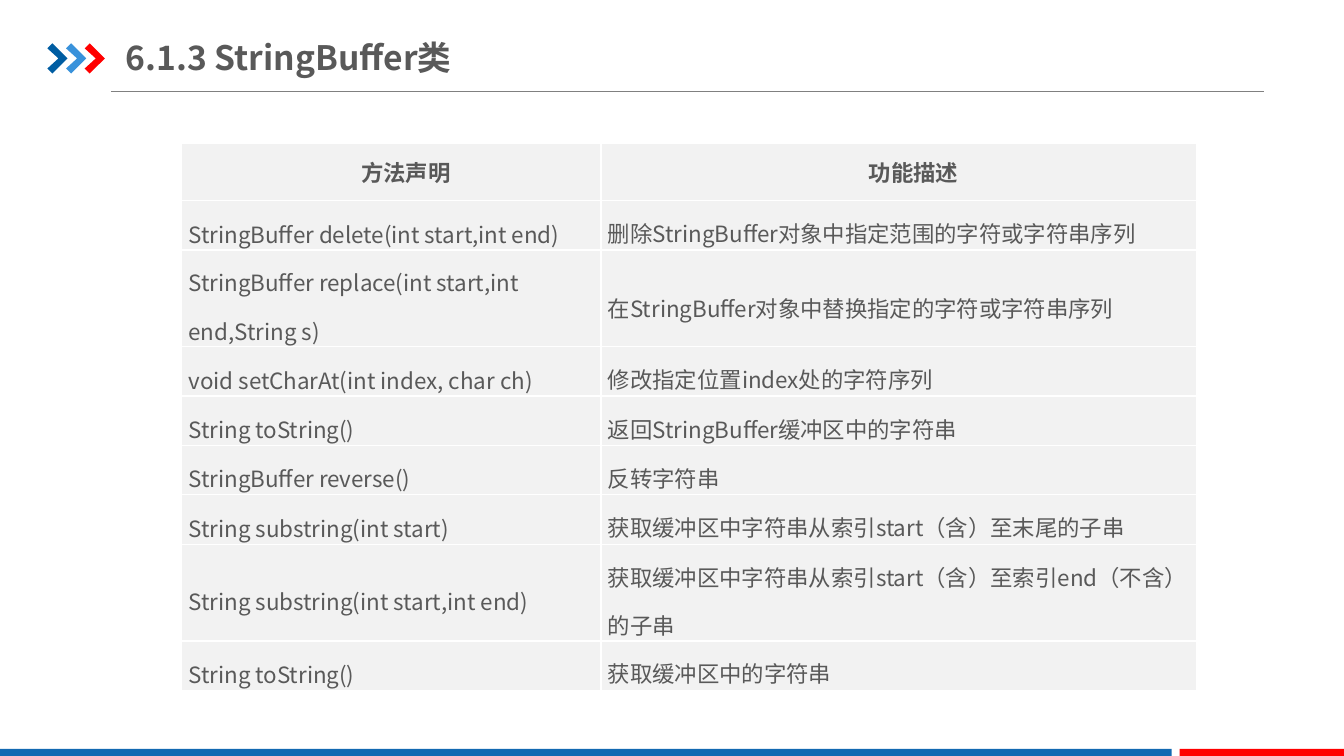
from dataclasses import dataclass

import pptx
import pptx.dml.color
import pptx.enum.shapes
import pptx.enum.text
import pptx.oxml
import pptx.oxml.ns
import pptx.util
from lxml import etree

Inches = pptx.util.Inches
Pt = pptx.util.Pt
qn = pptx.oxml.ns.qn
ANCHOR = pptx.enum.text.MSO_ANCHOR
RECTANGLE = pptx.enum.shapes.MSO_SHAPE.RECTANGLE


@dataclass(frozen=True)
class Theme:
    font: str = "Noto Sans CJK SC"
    text: str = "595959"
    rule: str = "808080"
    cell: str = "F2F2F2"
    border: str = "FFFFFF"
    chevrons: tuple = ("005DA2", "3992DB", "FF0000")
    footer_blue: str = "1369B2"
    footer_red: str = "FF0000"
    title_size: int = 24
    table_size: int = 16


THEME = Theme()

HEADINGS = ("方法声明", "功能描述")
METHODS = [
    ("StringBuffer delete(int start,int end)", "删除StringBuffer对象中指定范围的字符或字符串序列"),
    ("StringBuffer replace(int start,int end,String s)", "在StringBuffer对象中替换指定的字符或字符串序列"),
    ("void setCharAt(int index, char ch)", "修改指定位置index处的字符序列"),
    ("String toString()", "返回StringBuffer缓冲区中的字符串"),
    ("StringBuffer reverse()", "反转字符串"),
    ("String substring(int start)", "获取缓冲区中字符串从索引start（含）至末尾的子串"),
    ("String substring(int start,int end)", "获取缓冲区中字符串从索引start（含）至索引end（不含）的子串"),
    ("String toString()", "获取缓冲区中的字符串"),
]
REPLACE_ROW = 2
SUBSTRING_RANGE_ROW = 7
TWO_LINE_ROWS = (REPLACE_ROW, SUBSTRING_RANGE_ROW)


def rgb(value):
    return pptx.dml.color.RGBColor.from_string(value)


def paint(shape, color):
    """Give a shape a plain fill without outline or shadow."""
    shape.shadow.inherit = False
    shape.fill.solid()
    shape.fill.fore_color.rgb = rgb(color)
    shape.line.fill.background()


def style_paragraph(paragraph, size, bold):
    font = paragraph.font
    font.name = THEME.font
    font.size = Pt(size)
    font.bold = bold
    font.color.rgb = rgb(THEME.text)
    properties = paragraph._p.pPr.find(qn("a:defRPr"))
    latin = properties.find(qn("a:latin"))
    east_asian = etree.Element(qn("a:ea"), typeface=THEME.font)
    latin.addnext(east_asian)


def add_chevrons(slide, left, top):
    width, height, pitch, tip = 0.2, 0.3, 0.185, 0.05
    outline = [(0, tip), (tip, 0), (width, height / 2), (tip, height),
               (0, height - tip), (width / 2 + 0.01, height / 2)]
    for index, color in enumerate(THEME.chevrons):
        points = [(Inches(left + index * pitch + x), Inches(top + y)) for x, y in outline]
        builder = slide.shapes.build_freeform(*points[0])
        builder.add_line_segments(points[1:], close=True)
        paint(builder.convert_to_shape(), color)


def add_header(slide, left, top, width, title):
    rule_y = Inches(top + 0.62)
    rule = slide.shapes.add_connector(
        pptx.enum.shapes.MSO_CONNECTOR.STRAIGHT,
        Inches(left + 0.63), rule_y, Inches(left + width), rule_y)
    rule.line.color.rgb = rgb(THEME.rule)
    rule.line.width = Pt(0.75)
    etree.SubElement(rule._element.spPr, qn("a:effectLst"))

    add_chevrons(slide, left, top + 0.14)

    heading = slide.shapes.add_textbox(
        Inches(left + 0.78), Inches(top), Inches(4.26), Inches(0.55))
    frame = heading.text_frame
    frame.word_wrap = True
    frame.vertical_anchor = ANCHOR.MIDDLE
    frame.margin_left = frame.margin_right = 0
    frame.margin_top = frame.margin_bottom = Inches(0.07)
    frame.text = title
    style_paragraph(frame.paragraphs[0], THEME.title_size, True)


def add_footer(slide, top, width, height):
    red_width, gap = 1.63, 0.08
    blue_width = width - red_width - gap
    bars = ((0, blue_width, THEME.footer_blue),
            (blue_width + gap, red_width, THEME.footer_red))
    for left, bar_width, color in bars:
        bar = slide.shapes.add_shape(
            RECTANGLE, Inches(left), Inches(top), Inches(bar_width), Inches(height))
        paint(bar, color)


def style_cell(cell):
    """Set margins, white borders and the grey fill."""
    cell.margin_left = cell.margin_right = Inches(0.07)
    cell.margin_top = cell.margin_bottom = 0
    properties = cell._tc.get_or_add_tcPr()
    for side in ("lnL", "lnR", "lnT", "lnB"):
        border = etree.SubElement(properties, qn(f"a:{side}"), w=str(Pt(1)))
        fill = etree.SubElement(border, qn("a:solidFill"))
        etree.SubElement(fill, qn("a:srgbClr"), val=THEME.border)
    cell.fill.solid()
    cell.fill.fore_color.rgb = rgb(THEME.cell)


def add_method_table(slide, left, top, column_widths, heading_height, row_height, two_line_height):
    rows = [HEADINGS, *METHODS]
    row_heights = [heading_height] + [
        two_line_height if index in TWO_LINE_ROWS else row_height
        for index in range(1, len(rows))]
    table = slide.shapes.add_table(
        len(rows), len(column_widths), Inches(left), Inches(top),
        Inches(sum(column_widths)), Inches(sum(row_heights))).table
    table.first_row = table.horz_banding = False
    for column, width in zip(table.columns, column_widths):
        column.width = Inches(width)
    for row, height in zip(table.rows, row_heights):
        row.height = Inches(height)

    for row_index, texts in enumerate(rows):
        is_heading = row_index == 0
        for column_index, text in enumerate(texts):
            is_description = column_index == 1 and not is_heading
            cell = table.cell(row_index, column_index)
            style_cell(cell)
            cell.vertical_anchor = ANCHOR.TOP if is_description else ANCHOR.MIDDLE
            cell.text = text
            paragraph = cell.text_frame.paragraphs[0]
            if is_heading:
                paragraph.alignment = pptx.enum.text.PP_ALIGN.CENTER
                paragraph._p.get_or_add_pPr().set("indent", str(Inches(0.29)))
            else:
                taller = is_description and row_index == REPLACE_ROW
                paragraph.line_spacing = 2.3 if taller else 1.5
            style_paragraph(paragraph, THEME.table_size, is_heading)


def main():
    presentation = pptx.Presentation()
    presentation.slide_width = Inches(13.33)
    presentation.slide_height = Inches(7.5)
    slide = presentation.slides.add_slide(presentation.slide_layouts[6])
    add_header(slide, 0.47, 0.29, 12.07, "6.1.3 StringBuffer类")
    add_footer(slide, 7.43, 13.33, 0.09)
    add_method_table(slide, 1.8, 1.42, (4.16, 5.91), 0.57, 0.49, 0.96)
    presentation.save("out.pptx")


if __name__ == "__main__":
    main()
